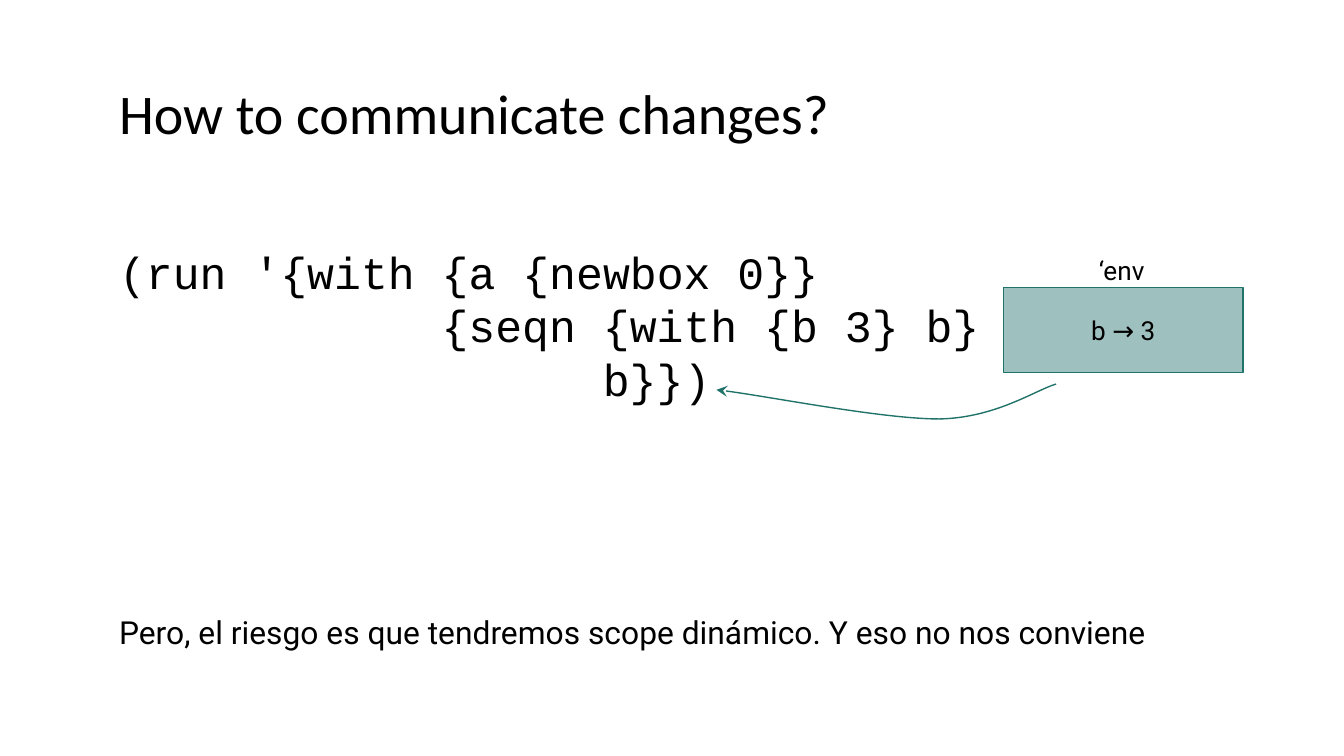
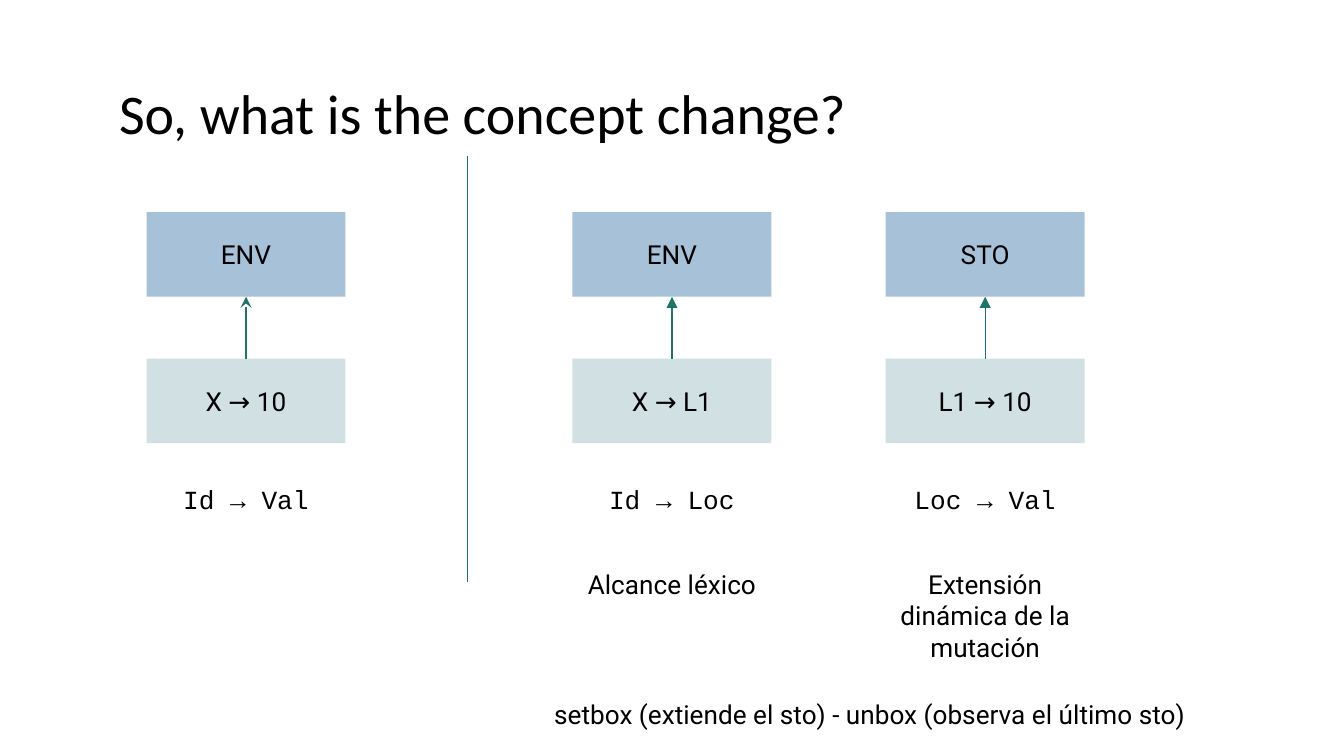
import pptx
import pptx.dml.color
import pptx.enum.shapes
import pptx.enum.text
import pptx.oxml.ns
import pptx.util
from lxml import etree

Cm = pptx.util.Cm
Pt = pptx.util.Pt
qn = pptx.oxml.ns.qn
ALIGN = pptx.enum.text.PP_ALIGN
ANCHOR = pptx.enum.text.MSO_ANCHOR

TITLE_FONT, BODY_FONT, CODE_FONT = "Calibri", "Roboto", "Courier New"
BLACK, WHITE, GREEN = "000000", "FFFFFF", "207368"
TEAL, BLUE, PALE = "9EC0BE", "A6C1D8", "D0E0E3"
MARGIN = 2.0
INSET = 0.25
BOX_HEIGHT = 1.6
CODE_SIZE = 24
CODE_CHARACTER = CODE_SIZE * 0.6

CHANGES_TITLE = "How to communicate changes?"
CODE_LINES = [
    (0, "(run '{with {a {newbox 0}}"),
    (12, "{seqn {with {b 3} b}"),
    (18, "b}})"),
]
ENVIRONMENT_LABEL = "‘env"
ENVIRONMENT_BINDING = "b → 3"
RISK = "Pero, el riesgo es que tendremos scope dinámico. Y eso no nos conviene"
CURVE = [
    (19.96, 7.26),
    (19.58, 7.37), (18.82, 7.9), (17.75, 7.92),
    (16.69, 7.92), (14.25, 7.44), (13.54, 7.37),
]

CONCEPT_TITLE = "So, what is the concept change?"
COLUMNS = [
    (2.77, "ENV", "X → 10", "Id → Val", None, "stealth"),
    (10.82, "ENV", "X → L1", "Id → Loc", "Alcance léxico", "triangle"),
    (16.74, "STO", "L1 → 10", "Loc → Val", "Extensión dinámica de la mutación", "triangle"),
]
COLUMN_WIDTH, SCOPE_WIDTH = 3.76, 4.42
STORE_TOP, BINDING_TOP, SIGNATURE_TOP, SCOPE_TOP = 4.01, 6.78, 8.89, 10.49
DIVIDER = (8.84, 2.95, 8.84, 11.0)
OPERATIONS = "setbox (extiende el sto) - unbox (observa el último sto)"


def color(value):
    return pptx.dml.color.RGBColor.from_string(value)


def write(shape, lines, size, font, align=ALIGN.LEFT, anchor=ANCHOR.TOP):
    frame = shape.text_frame
    frame.word_wrap = True
    frame.vertical_anchor = anchor
    frame.margin_left = frame.margin_right = Cm(INSET)
    frame.margin_top = frame.margin_bottom = Cm(INSET)
    for number, (indent, text) in enumerate(lines):
        para = frame.paragraphs[0] if number == 0 else frame.add_paragraph()
        para.text = text
        para.alignment = align
        para.font.size = Pt(size)
        para.font.name = font
        para.font.color.rgb = color(BLACK)
        if indent:
            properties = para._p.get_or_add_pPr()
            properties.set("marL", str(Pt(indent * CODE_CHARACTER)))
            properties.set("indent", "0")


def add_text(page, place, text, size=14, font=BODY_FONT, align=ALIGN.LEFT):
    lines = [(0, text)] if isinstance(text, str) else text
    box = page.shapes.add_textbox(*map(Cm, place))
    write(box, lines, size, font, align)


def add_box(page, place, text, fill, outline=None):
    box = page.shapes.add_shape(
        pptx.enum.shapes.MSO_SHAPE.RECTANGLE, *map(Cm, place))
    box.shadow.inherit = False
    box.fill.solid()
    box.fill.fore_color.rgb = color(fill)
    if outline:
        draw_line(box, outline)
    else:
        box.line.fill.background()
    write(box, [(0, text)], 14, BODY_FONT, ALIGN.CENTER, ANCHOR.MIDDLE)
    return box


def draw_line(shape, value, arrow=None):
    shape.line.color.rgb = color(value)
    shape.line.width = Pt(0.75)
    if arrow:
        etree.SubElement(shape.line._get_or_add_ln(), qn("a:tailEnd"), type=arrow)


def add_line(page, ends, arrow=None):
    line = page.shapes.add_connector(
        pptx.enum.shapes.MSO_CONNECTOR.STRAIGHT, *map(Cm, ends))
    draw_line(line, GREEN, arrow)
    etree.SubElement(line._element.spPr, qn("a:effectLst"))
    return line


def add_curve(page, points, arrow):
    start, *rest = [(Cm(x), Cm(y)) for x, y in points]
    builder = page.shapes.build_freeform(*start)
    builder.add_line_segments(rest, close=False)
    curve = builder.convert_to_shape()
    segments = list(curve._element.iter(qn("a:lnTo")))
    for first in range(0, len(segments), 3):
        bezier = etree.Element(qn("a:cubicBezTo"))
        segments[first].addprevious(bezier)
        for segment in segments[first:first + 3]:
            bezier.append(segment[0])
            segment.getparent().remove(segment)
    curve.fill.background()
    draw_line(curve, GREEN, arrow)
    curve.shadow.inherit = False


def add_page(deck, title):
    page = deck.slides.add_slide(deck.slide_layouts[6])
    page.background.fill.solid()
    page.background.fill.fore_color.rgb = color(WHITE)
    add_text(page, (MARGIN, 1.24, 21.41, BOX_HEIGHT), title, 30, TITLE_FONT)
    return page


def build_changes(deck):
    page = add_page(deck, CHANGES_TITLE)
    add_text(page, (MARGIN, 4.37, 23.04, 4.57), CODE_LINES, CODE_SIZE, CODE_FONT)
    add_text(page, (MARGIN, 11.33, 21.51, BOX_HEIGHT), RISK, 17)
    add_box(page, (18.97, 5.44, 4.52, BOX_HEIGHT), ENVIRONMENT_BINDING, TEAL, GREEN)
    add_text(page, (20.52, 4.55, 1.83, 1.32), ENVIRONMENT_LABEL)
    add_curve(page, CURVE, "stealth")


def build_concept(deck):
    page = add_page(deck, CONCEPT_TITLE)
    add_line(page, DIVIDER)
    for left, store, binding, signature, scope, arrow in COLUMNS:
        center = left + COLUMN_WIDTH / 2
        upper = add_box(page, (left, STORE_TOP, COLUMN_WIDTH, BOX_HEIGHT), store, BLUE)
        lower = add_box(page, (left, BINDING_TOP, COLUMN_WIDTH, BOX_HEIGHT), binding, PALE)
        link = add_line(page, (center, BINDING_TOP, center, STORE_TOP + BOX_HEIGHT), arrow)
        link.begin_connect(lower, 0)
        link.end_connect(upper, 2)
        add_text(page, (left, SIGNATURE_TOP, COLUMN_WIDTH, 1.17), signature,
                 font=CODE_FONT, align=ALIGN.CENTER)
        if scope:
            add_text(page, (center - SCOPE_WIDTH / 2, SCOPE_TOP, SCOPE_WIDTH, 1.4),
                     scope, align=ALIGN.CENTER)
    add_text(page, (6.98, 12.95, 18.92, 1.12), OPERATIONS, align=ALIGN.CENTER)


def main():
    deck = pptx.Presentation()
    deck.slide_width = Cm(25.4)
    deck.slide_height = Cm(14.29)
    build_changes(deck)
    build_concept(deck)
    deck.save("out.pptx")


if __name__ == "__main__":
    main()
